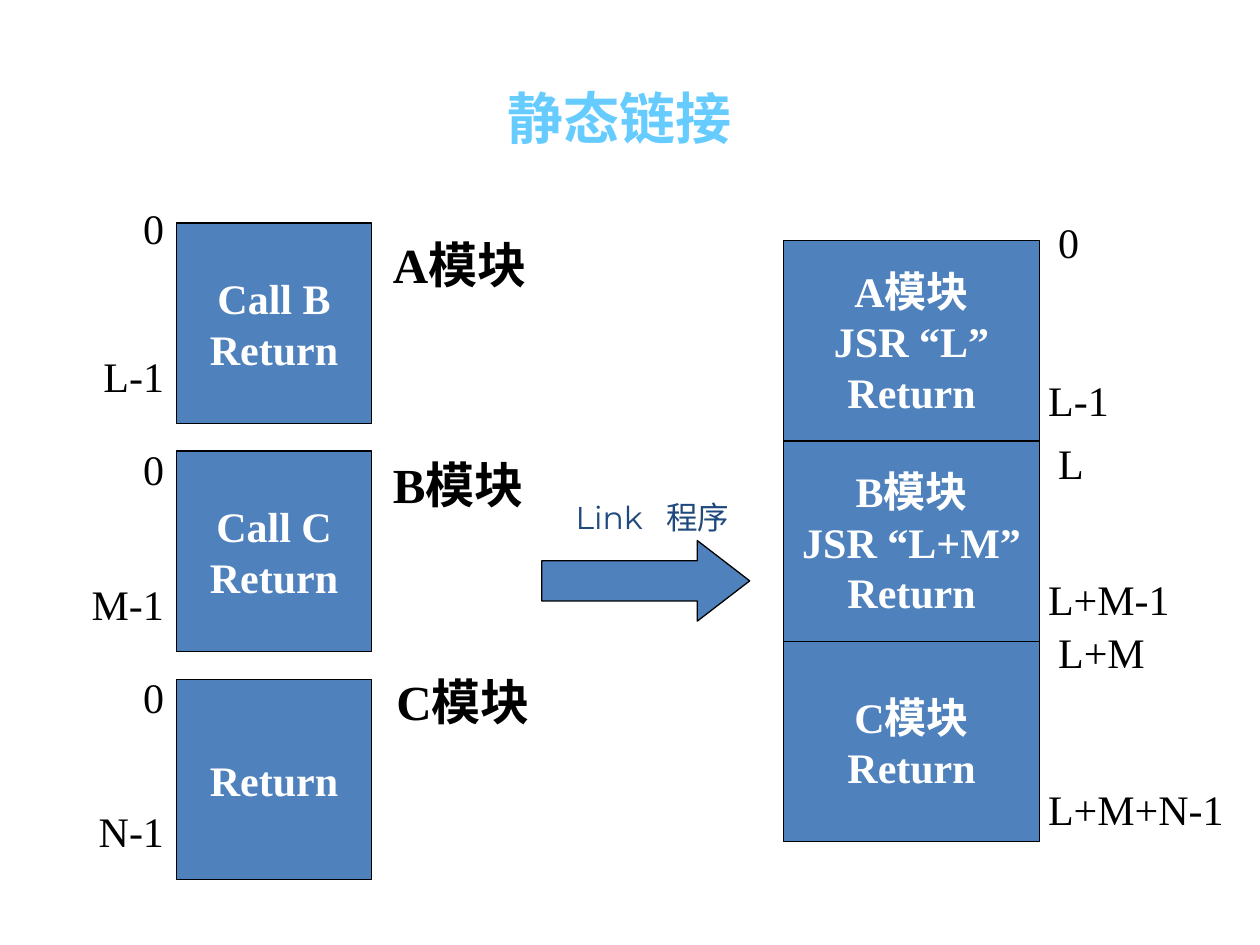
from lxml import etree
from pptx import Presentation
from pptx import util as u
from pptx.dml.color import RGBColor
from pptx.enum import shapes, text
from pptx.oxml.ns import qn

COLORS = {"title": "66CCFF", "block": "4F81BD", "ink": "000000",
          "paper": "FFFFFF", "link": "1F497D"}
SERIF = "Times New Roman"
LEFT, CENTER, RIGHT = text.PP_ALIGN.LEFT, text.PP_ALIGN.CENTER, text.PP_ALIGN.RIGHT
BLOCK_HEIGHT = 1.59
LABEL_HEIGHT = 0.5


def color(name):
    """Return the named palette colour."""
    return RGBColor.from_string(COLORS[name])


def format_paragraph(para, size, ink, align, bold=False, face=SERIF):
    """Set the alignment and font of one paragraph."""
    para.alignment = align
    para.font.size = u.Pt(size)
    para.font.name = face
    para.font.bold = bold
    para.font.color.rgb = color(ink)


def add_label(page, box, words, size=24, ink="ink", align=LEFT, bold=False,
              face=SERIF, tab=None):
    """Add a line of text in the box, with an optional tab stop."""
    frame = page.shapes.add_textbox(*map(u.Inches, box)).text_frame
    frame.word_wrap = True
    para = frame.paragraphs[0]
    para.text = words
    if tab:
        stops = etree.SubElement(para._p.get_or_add_pPr(), qn("a:tabLst"))
        etree.SubElement(stops, qn("a:tab"), pos=str(u.Inches(tab)), algn="l")
    format_paragraph(para, size, ink, align, bold, face)


def add_filled_shape(page, kind, box):
    """Add a blue shape with a thin black outline."""
    shape = page.shapes.add_shape(kind, *map(u.Inches, box))
    shape.shadow.inherit = False
    shape.fill.solid()
    shape.fill.fore_color.rgb = color("block")
    shape.line.color.rgb = color("ink")
    shape.line.width = u.Pt(0.75)
    return shape


def add_block(page, box, lines):
    """Add a memory block with centred lines of white text."""
    frame = add_filled_shape(page, shapes.MSO_SHAPE.RECTANGLE, box).text_frame
    frame.word_wrap = False
    frame.vertical_anchor = text.MSO_ANCHOR.MIDDLE
    frame.text = "\n".join(lines)
    for para in frame.paragraphs:
        format_paragraph(para, 24, "paper", CENTER, bold=True)


def add_title(page, box, words):
    """Place and format the title placeholder."""
    title = page.shapes.title
    title.left, title.top, title.width, title.height = map(u.Inches, box)
    title.text_frame.vertical_anchor = text.MSO_ANCHOR.MIDDLE
    para = title.text_frame.paragraphs[0]
    para.text = words
    format_paragraph(para, 32, "title", CENTER, bold=True, face="Calibri")


def add_modules(page, left, top, width):
    """Stack the separate modules with their addresses and names."""
    modules = [
        (["Call B", "Return"], "L-1", 1.56, 2.73, "A模块", 3.02, 1.81, LEFT),
        (["Call C", "Return"], "M-1", 3.47, 4.54, "B模块", 3.02, 3.56, LEFT),
        (["Return"], "N-1", 5.28, 6.34, "C模块", 2.95, 5.28, CENTER),
    ]
    for row, (lines, last, first_top, last_top, name, name_left, name_top, align) in enumerate(modules):
        add_block(page, (left, top + row * 1.81, width, BLOCK_HEIGHT), lines)
        for words, label_top in (("0", first_top), (last, last_top)):
            add_label(page, (left - 0.97, label_top, 0.97, LABEL_HEIGHT), words, align=RIGHT)
        add_label(page, (name_left, name_top, 1.45, 0.57), name, 28, align=align, bold=True)


def add_link_step(page, left, top, width):
    """Draw the link arrow and its caption."""
    arrow = add_filled_shape(page, shapes.MSO_SHAPE.RIGHT_ARROW, (left, top, width, 0.64))
    arrow.adjustments[0] = 0.5
    arrow.adjustments[1] = 0.65
    add_label(page, (left + 0.17, top - 0.39, 1.63, 0.4), "Link\t程序", 18, "link",
              face="Montserrat", tab=0.72)


def add_linked_image(page, left, top, width):
    """Stack the linked modules with their final addresses."""
    parts = [
        (["A模块", "JSR “L”", "Return"], "0", 1.67, "L-1", 2.92, 0.75),
        (["B模块", "JSR “L+M”", "Return"], "L", 3.42, "L+M-1", 4.5, 1.17),
        (["C模块", "Return"], "L+M", 4.92, "L+M+N-1", 6.17, 1.67),
    ]
    right = left + width
    for row, (lines, first, first_top, last, last_top, last_width) in enumerate(parts):
        add_block(page, (left, top + row * BLOCK_HEIGHT, width, BLOCK_HEIGHT), lines)
        add_label(page, (right + 0.05, first_top, 1.17, LABEL_HEIGHT), first)
        add_label(page, (right - 0.03, last_top, last_width, LABEL_HEIGHT), last)


def main():
    """Build the static linking slide."""
    deck = Presentation()
    deck.slide_width, deck.slide_height = u.Inches(10), u.Inches(7.5)
    page = deck.slides.add_slide(deck.slide_layouts[5])
    add_title(page, (0.67, 0.47, 8.5, 0.92), "静态链接")
    add_modules(page, 1.4, 1.77, 1.55)
    add_link_step(page, 4.3, 4.29, 1.65)
    add_linked_image(page, 6.22, 1.91, 2.03)
    deck.save("out.pptx")


if __name__ == "__main__":
    main()
